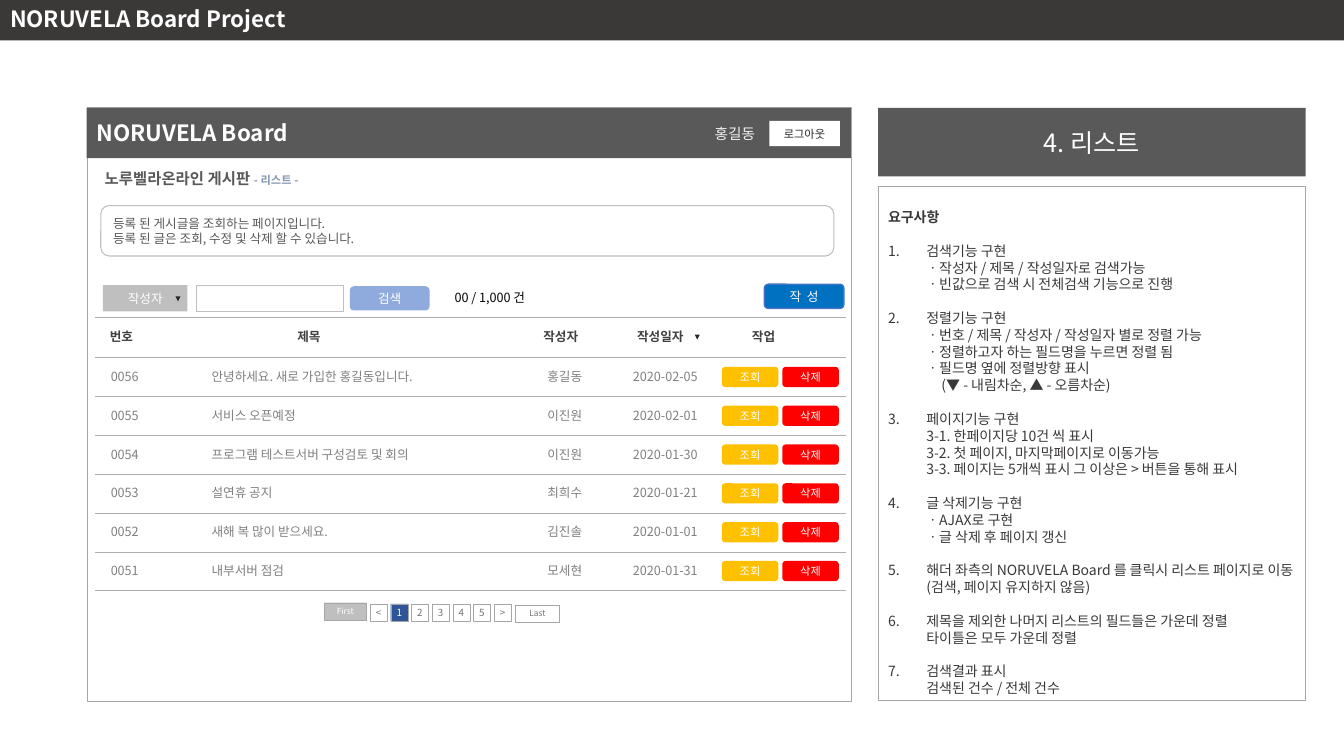
from pptx import Presentation
from pptx.dml.color import RGBColor
from pptx.enum.shapes import MSO_CONNECTOR, MSO_SHAPE
from pptx.enum.text import MSO_ANCHOR, MSO_AUTO_SIZE, PP_ALIGN
from pptx.oxml.ns import qn
from pptx.util import Inches, Pt
from lxml.etree import SubElement

FONT = "Noto Sans CJK KR"
COLORS = {
    "white": "FFFFFF", "bar": "3B3838", "header": "595959", "ink": "262626",
    "label": "404040", "value": "808080", "user": "F2F2F2", "black": "000000",
    "border": "A6A6A6", "soft": "BFBFBF", "rule": "AFABAB", "crumb": "8497B0",
    "write": "0070C0", "write_edge": "4472C4", "search": "8FAADC",
    "view": "FFC000", "delete": "FF0000", "current": "2F5597", "pager": "767171",
}


def add_span(para, text, size=9, color="white", bold=False):
    span = para.add_run()
    span.text = text
    span.font.size = Pt(size)
    span.font.bold = bold
    span.font.name = FONT
    span.font.color.rgb = RGBColor.from_string(COLORS[color])
    SubElement(span.font._element, qn("a:ea"), typeface=FONT)


def add_box(text, left, top, width, height, kind=MSO_SHAPE.RECTANGLE, fill=None,
            line=None, weight=0.75, align=PP_ALIGN.CENTER, wrap=True, inset=0.1, **style):
    """Add a filled shape, or a plain text box when no fill is given."""
    area = [Inches(value) for value in (left, top, width, height)]
    if fill:
        box = page.shapes.add_shape(kind, *area)
        box.shadow.inherit = False
        box.fill.solid()
        box.fill.fore_color.rgb = RGBColor.from_string(COLORS[fill])
        if line:
            box.line.color.rgb = RGBColor.from_string(COLORS[line])
            box.line.width = Pt(weight)
        else:
            box.line.fill.background()
    else:
        box = page.shapes.add_textbox(*area)
        align = PP_ALIGN.LEFT
    frame = box.text_frame
    frame.word_wrap = wrap
    frame.vertical_anchor = MSO_ANCHOR.MIDDLE if fill else MSO_ANCHOR.TOP
    frame.margin_left = frame.margin_right = Inches(inset)
    for index, content in enumerate(text.split("\n") if text else []):
        para = frame.add_paragraph() if index else frame.paragraphs[0]
        para.alignment = align
        add_span(para, content, **style)
    return box


deck = Presentation()
deck.slide_width, deck.slide_height = Inches(13.33), Inches(7.5)
page = deck.slides.add_slide(deck.slide_layouts[5])

# Title bar
title = page.shapes.title
title.left, title.top = Inches(0), Inches(-0.03)
title.width, title.height = Inches(13.33), Inches(0.43)
title.fill.solid()
title.fill.fore_color.rgb = RGBColor.from_string(COLORS["bar"])
title.text_frame.auto_size = MSO_AUTO_SIZE.NONE
title.text_frame.vertical_anchor = MSO_ANCHOR.MIDDLE
title.text_frame.paragraphs[0].alignment = PP_ALIGN.LEFT
add_span(title.text_frame.paragraphs[0], "NORUVELA Board Project", size=16, bold=True)

# Board frame and header
add_box("", 0.87, 1.07, 7.58, 5.89, fill="white", line="border")
add_box("NORUVELA Board", 0.86, 1.07, 7.58, 0.5, fill="header",
        align=PP_ALIGN.LEFT, size=16, bold=True)
add_box("홍길동", 6.99, 1.19, 0.73, 0.29, size=10.5, color="user")
add_box("로그아웃", 7.63, 1.2, 0.7, 0.25, fill="white", size=8, color="ink")

# Board name and introduction
name = add_box("노루벨라온라인 게시판 ", 0.94, 1.63, 2.5, 0.29, size=11, color="header", bold=True)
add_span(name.text_frame.paragraphs[0], "- 리스트 -", size=8, color="crumb", bold=True)
add_box("등록 된 게시글을 조회하는 페이지입니다.\n등록 된 글은 조회, 수정 및 삭제 할 수 있습니다.",
        1, 2.04, 7.27, 0.5, kind=MSO_SHAPE.ROUNDED_RECTANGLE, fill="white",
        line="soft", align=PP_ALIGN.LEFT, color="header")

# Search row
add_box("작성자", 1.02, 2.83, 0.84, 0.26, fill="soft")
add_box("", 1.95, 2.83, 1.46, 0.26, fill="white", line="soft")
add_box("검색", 3.47, 2.84, 0.79, 0.24, kind=MSO_SHAPE.ROUNDED_RECTANGLE, fill="search")
add_box("00 / 1,000 건", 4.41, 2.83, 0.98, 0.25, color="black")
add_box("작  성", 7.58, 2.82, 0.79, 0.24, kind=MSO_SHAPE.ROUNDED_RECTANGLE,
        fill="write", line="write_edge", weight=1)

# List headings and sort arrows
for heading, left, width in [("번호", 0.99, 0.45), ("제목", 2.85, 0.45), ("작성자", 5.29, 0.58),
                             ("작성일자", 6.22, 0.71), ("작업", 7.36, 0.45)]:
    add_box(heading, left, 3.21, width, 0.25, wrap=False, color="label", bold=True)
for left, top in [(1.74, 2.94), (6.89, 3.32)]:
    arrow = add_box("", left, top, 0.05, 0.05, kind=MSO_SHAPE.ISOSCELES_TRIANGLE, fill="ink")
    arrow.rotation = 180

# List rules
ROW_STEP = 0.385
for top in [3.15] + [3.55 + ROW_STEP * row for row in range(7)]:
    rule = page.shapes.add_connector(MSO_CONNECTOR.STRAIGHT, Inches(0.94), Inches(top),
                                     Inches(8.39), Inches(top))
    rule.line.color.rgb = RGBColor.from_string(COLORS["rule"])
    rule.line.width = Pt(0.5)
    SubElement(rule._element.spPr, qn("a:effectLst"))

# List rows
POSTS = [
    ("0056", "안녕하세요. 새로 가입한 홍길동입니다.", "홍길동", "2020-02-05"),
    ("0055", "서비스 오픈예정", "이진원", "2020-02-01"),
    ("0054", "프로그램 테스트서버 구성검토 및 회의", "이진원", "2020-01-30"),
    ("0053", "설연휴 공지", "최희수", "2020-01-21"),
    ("0052", "새해 복 많이 받으세요.", "김진솔", "2020-01-01"),
    ("0051", "내부서버 점검", "모세현", "2020-01-31"),
]
FIELDS = [(1, 0.48, False), (2, 3.3, True), (5.33, 0.58, False), (6.18, 0.87, False)]
for row, post in enumerate(POSTS):
    top = 3.61 + ROW_STEP * row
    for value, (left, width, wrap) in zip(post, FIELDS):
        add_box(value, left, top, width, 0.25, wrap=wrap, color="value")
    for action, left, fill in [("조회", 7.16, "view"), ("삭제", 7.76, "delete")]:
        add_box(action, left, top + 0.03, 0.56, 0.2, kind=MSO_SHAPE.ROUNDED_RECTANGLE,
                fill=fill, size=8)

# Pager
add_box("First", 3.22, 5.98, 0.41, 0.17, fill="soft", line="border", weight=0.25, inset=0, size=6)
for index, mark in enumerate("<12345>"):
    current = mark == "1"
    add_box(mark, 3.67 + 0.205 * index, 5.99, 0.17, 0.17, fill="current" if current else "white",
            line="border", weight=0.25, inset=0, size=7, color="white" if current else "pager")
add_box("Last", 5.11, 6, 0.44, 0.17, fill="white", line="border", weight=0.25, inset=0,
        size=6, color="pager")

# Requirements panel
add_box("4. 리스트", 8.71, 1.07, 4.24, 0.68, fill="header", size=18)
panel = add_box("요구사항", 8.71, 1.85, 4.24, 5.1, fill="white", line="border", weight=0.5,
                align=PP_ALIGN.LEFT, size=10, color="bar", bold=True).text_frame
panel.vertical_anchor = MSO_ANCHOR.TOP
panel.margin_top = Inches(0.22)
REQUIREMENTS = [
    ["검색기능 구현", "ㆍ작성자 / 제목 / 작성일자로 검색가능", "ㆍ빈값으로 검색 시 전체검색 기능으로 진행"],
    ["정렬기능 구현", "ㆍ번호 / 제목 / 작성자 / 작성일자 별로 정렬 가능", "ㆍ정렬하고자 하는 필드명을 누르면 정렬 됨",
     "ㆍ필드명 옆에 정렬방향 표시", "(▼ - 내림차순, ▲ - 오름차순)"],
    ["페이지기능 구현", "3-1. 한페이지당 10건 씩 표시", "3-2. 첫 페이지, 마지막페이지로 이동가능",
     "3-3. 페이지는 5개씩 표시 그 이상은 > 버튼을 통해 표시"],
    ["글 삭제기능 구현", "ㆍAJAX로 구현", "ㆍ글 삭제 후 페이지 갱신"],
    ["해더 좌측의 NORUVELA Board 를 클릭시 리스트 페이지로 이동 (검색, 페이지 유지하지 않음)"],
    ["제목을 제외한 나머지 리스트의 필드들은 가운데 정렬", "타이틀은 모두 가운데 정렬"],
    ["검색결과 표시", "검색된 건수 / 전체 건수"],
]
for number, lines in enumerate(REQUIREMENTS, 1):
    for index, content in enumerate(lines):
        para = panel.add_paragraph()
        para.alignment = PP_ALIGN.LEFT
        add_span(para, content, size=10, color="bar")
        layout = para._p.get_or_add_pPr()
        layout.set("marL", str(Inches(0.53 if content.startswith("(") else 0.38)))
        if index == 0:
            para.space_before = Pt(12)
            layout.set("indent", str(Inches(-0.38)))
            SubElement(layout, qn("a:buFont"), typeface=FONT)
            SubElement(layout, qn("a:buAutoNum"), type="arabicPeriod", startAt=str(number))

deck.save("out.pptx")
